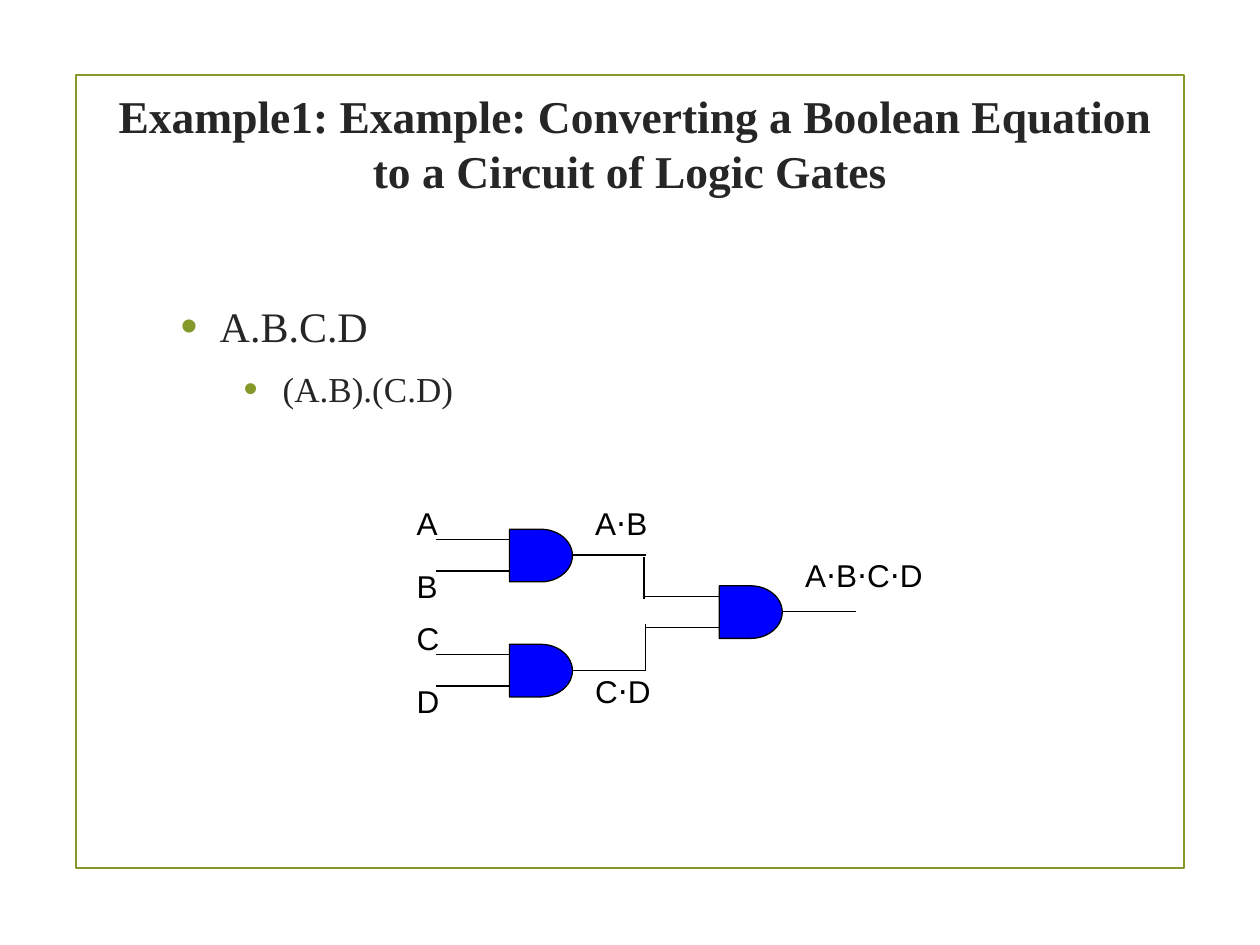
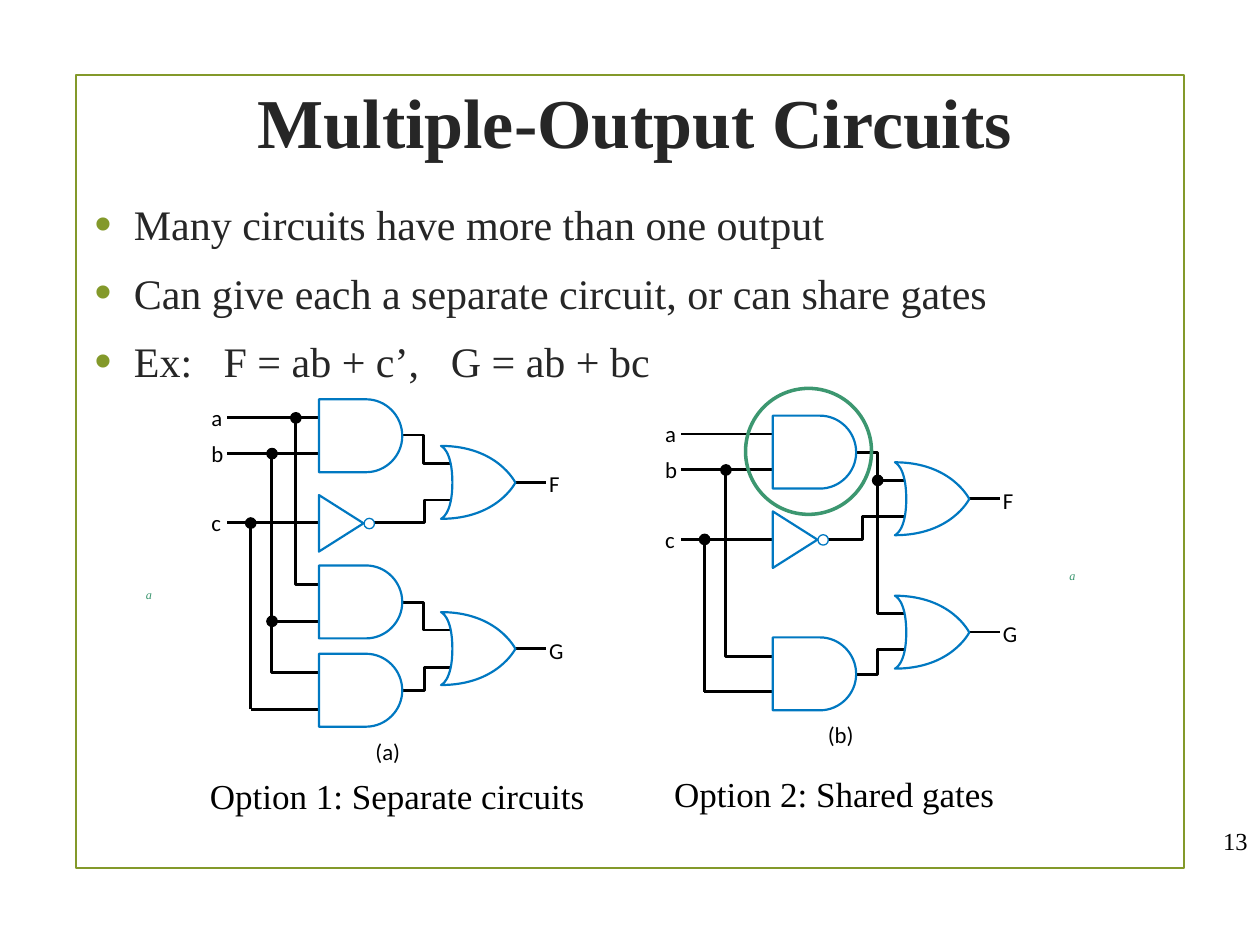
from dataclasses import dataclass
from typing import NamedTuple

from lxml import etree
from pptx import Presentation
from pptx import util as u
from pptx.dml.color import RGBColor
from pptx.enum import shapes, text
from pptx.oxml.ns import qn

OLIVE = RGBColor(0x83, 0x99, 0x2A)
INK = RGBColor(0x26, 0x26, 0x26)
BLACK = RGBColor(0, 0, 0)
WHITE = RGBColor(255, 255, 255)
BLUE = RGBColor(0, 0, 255)
GATE_BLUE = RGBColor(0, 0x78, 0xC1)
GREEN = RGBColor(0x3C, 0x97, 0x70)
SERIF = "Times New Roman"

OR_LEFT = 2.46
INPUT_ROWS = {"a": 0.37, "b": 1.09, "c": 2.49}
NOT_OUT = (0.97, 2.49)
WIRE = 1.63


class Point(NamedTuple):
    x: float
    y: float


class Bullet(NamedTuple):
    words: str
    level: int = 0
    tabs: tuple = ()


class Outline(NamedTuple):
    points: tuple
    curves: int = 0


@dataclass(frozen=True)
class DelayGate:
    corner: Point
    inputs: tuple
    output: str
    output_dy: float
    output_width: float


@dataclass(frozen=True)
class Circuit:
    name: str
    origin: Point
    name_at: Point
    and_tops: tuple
    or_tops: dict
    wires: tuple
    joints: tuple


AND_GATE = Outline((
    (0.95, 1.47), (1.35, 1.47), (1.68, 1.14), (1.68, 0.74),
    (1.68, 0.33), (1.35, 0), (0.95, 0), (0, 0), (0, 1.47)), 2)
OR_GATE = Outline((
    (1.5, 0.74), (1.5, 0.74), (1.14, 1.47), (0, 1.47),
    (0, 1.47), (0.23, 1.39), (0.23, 0.74),
    (0.23, 0.08), (0, 0), (0, 0),
    (1.14, 0), (1.5, 0.74), (1.5, 0.74)), 4)
NOT_GATE = Outline(((0, 1.14), (0.9, 0.57), (0, 0)))

DELAY_GATES = (
    DelayGate(Point(10.27, 10.67), ("A", "B"), "A⋅B", -0.64, 1.7),
    DelayGate(Point(10.27, 12.99), ("C", "D"), "C⋅D", 0.43, 1.7),
    DelayGate(Point(14.5, 11.81), (), "A⋅B⋅C⋅D", -0.73, 3.18),
)


def elbow(start: tuple, middle: float, end: tuple) -> tuple:
    return start, (middle, start[1]), (middle, end[1]), end


CIRCUITS = (
    Circuit(
        "(a)", Point(6.43, 8.05), Point(1.14, 6.82), (0, 3.35, 5.13),
        {"F": 0.94, "G": 4.29},
        (
            ((0, 3.73), (-0.47, 3.73), (-0.47, 0.37)),
            ((-0.95, 4.47), (0, 4.47)),
            ((-0.95, 1.09), (-0.95, 5.51), (0, 5.51)),
            ((-1.38, 6.25), (0, 6.25)),
            ((-1.38, 6.25), (-1.38, 2.49)),
            elbow((1.68, 0.72), 2.11, (2.67, 1.3)),
            elbow(NOT_OUT, 2.13, (2.67, 2.03)),
            elbow((1.68, 4.09), 2.11, (2.67, 4.65)),
            elbow((1.68, 5.87), 2.13, (2.67, 5.41)),
        ),
        ((-0.47, 0.37), (-0.95, 1.09), (-1.38, 2.49), (-0.95, 4.47)),
    ),
    Circuit(
        "(b)", Point(15.58, 8.38), Point(1.11, 6.15), (0, 4.47),
        {"F": 0.94, "G": 3.63},
        (
            ((-0.95, 1.09), (-0.95, 4.85), (0, 4.85)),
            ((-1.38, 5.56), (0, 5.56)),
            ((-1.38, 5.56), (-1.38, 2.49)),
            ((2.11, 1.3), (2.64, 1.3)),
            elbow((1.68, 0.74), 2.11, (2.64, 3.99)),
            elbow(NOT_OUT, 1.8, (2.64, 2.03)),
            elbow((1.68, 5.21), 2.11, (2.64, 4.72)),
        ),
        ((-0.95, 1.09), (-1.38, 2.49), (2.11, 1.3)),
    ),
)


def style(shape, fill: RGBColor | None, line: RGBColor, width: float) -> None:
    shape.shadow.inherit = False
    if fill is None:
        shape.fill.background()
    else:
        shape.fill.solid()
        shape.fill.fore_color.rgb = fill
    shape.line.color.rgb = line
    shape.line.width = u.Pt(width)


def add_preset(slide, kind, left: float, top: float, width: float, height: float,
               fill: RGBColor | None, line: RGBColor, weight: float = 0.75) -> None:
    shape = slide.shapes.add_shape(kind, u.Cm(left), u.Cm(top), u.Cm(width), u.Cm(height))
    style(shape, fill, line, weight)


def add_line(slide, start: tuple, end: tuple, weight: float) -> None:
    line = slide.shapes.add_connector(
        shapes.MSO_CONNECTOR.STRAIGHT, *(u.Cm(v) for v in (*start, *end)))
    line.line.color.rgb = BLACK
    line.line.width = u.Pt(weight)
    etree.SubElement(line._element.spPr, qn("a:effectLst"))


def add_outline(slide, points: list, fill: RGBColor | None, line: RGBColor,
                weight: float, close: bool = False, curves: int = 0) -> None:
    first, *rest = [(u.Cm(x), u.Cm(y)) for x, y in points]
    builder = slide.shapes.build_freeform(*first)
    builder.add_line_segments(rest, close=close)
    shape = builder.convert_to_shape()
    style(shape, fill, line, weight)
    segments = list(shape._element.iter(qn("a:lnTo")))
    for start in range(0, 3 * curves, 3):
        trio = segments[start:start + 3]
        curve = etree.Element(qn("a:cubicBezTo"))
        trio[0].addprevious(curve)
        for segment in trio:
            curve.append(segment[0])
            segment.getparent().remove(segment)


def set_font(font, size: float, name: str, color: RGBColor,
             bold: bool = False, italic: bool = False) -> None:
    font.size, font.name, font.bold, font.italic = u.Pt(size), name, bold, italic
    font.color.rgb = color


def add_words(slide, words: str, left: float, top: float, width: float, height: float, *,
              size: float, font: str = SERIF, color: RGBColor = BLACK, bold: bool = False,
              italic: bool = False, align=text.PP_ALIGN.LEFT,
              anchor=text.MSO_ANCHOR.TOP, wrap: bool = False, inset: bool = True) -> None:
    frame = slide.shapes.add_textbox(
        u.Cm(left), u.Cm(top), u.Cm(width), u.Cm(height)).text_frame
    frame.word_wrap = wrap
    frame.vertical_anchor = anchor
    if not inset:
        frame.margin_left = frame.margin_right = frame.margin_top = frame.margin_bottom = 0
    paragraph = frame.paragraphs[0]
    paragraph.alignment = align
    run = paragraph.add_run()
    run.text = words
    set_font(run.font, size, font, color, bold, italic)


def add_bullets(slide, bullets: tuple, left: float, top: float,
                width: float, height: float) -> None:
    frame = slide.shapes.add_textbox(
        u.Cm(left), u.Cm(top), u.Cm(width), u.Cm(height)).text_frame
    frame.word_wrap = True
    for index, bullet in enumerate(bullets):
        size = 24 - 4 * bullet.level
        paragraph = frame.paragraphs[0] if index == 0 else frame.add_paragraph()
        paragraph.level = bullet.level
        props = paragraph._p.get_or_add_pPr()
        props.set("marL", str(u.Cm(0.79 + 1.27 * bullet.level)))
        props.set("indent", str(-u.Cm(0.79)))
        color = etree.SubElement(props, qn("a:buClr"))
        etree.SubElement(color, qn("a:srgbClr"), val=str(OLIVE))
        etree.SubElement(props, qn("a:buSzPct"), val="115000")
        etree.SubElement(props, qn("a:buFont"), typeface="Arial")
        etree.SubElement(props, qn("a:buChar"), char="•")
        if bullet.tabs:
            stops = etree.SubElement(props, qn("a:tabLst"))
            for stop in bullet.tabs:
                etree.SubElement(stops, qn("a:tab"), pos=str(u.Cm(stop)), algn="l")
        if index:
            paragraph.space_before = u.Pt(0.19 * size)
        paragraph.space_after = u.Pt(6)
        run = paragraph.add_run()
        run.text = bullet.words
        set_font(run.font, size, SERIF, INK)


def start_slide(deck, title: str, size: float, left: float, top: float, width: float):
    slide = deck.slides.add_slide(deck.slide_layouts[6])
    add_preset(slide, shapes.MSO_SHAPE.RECTANGLE, 1.54, 1.51, 22.33, 15.99, None, OLIVE, 1.25)
    add_words(slide, title, left, top, width, 3.63, size=size, color=INK, bold=True,
              align=text.PP_ALIGN.CENTER, anchor=text.MSO_ANCHOR.MIDDLE, wrap=True)
    return slide


def draw_delay_gate(slide, gate: DelayGate) -> None:
    x, y = gate.corner
    add_preset(slide, shapes.MSO_SHAPE.FLOWCHART_DELAY, x, y, 1.27, 1.06, BLUE, BLACK)
    for dy in (0.21, 0.84):
        add_line(slide, (x - 1.49, y + dy), (x, y + dy), 0.75)
    add_line(slide, (x + 1.27, y + 0.52), (x + 2.75, y + 0.52), 0.75)
    for name, dy in zip(gate.inputs, (-0.64, 0.63)):
        add_words(slide, name, x - 2.12, y + dy, 0.85, 1.02, size=18, font="Arial")
    add_words(slide, gate.output, x + 1.48, y + gate.output_dy,
              gate.output_width, 1.02, size=18, font="Arial")


def draw_circuit(slide, circuit: Circuit) -> None:
    def place(points, dx: float = 0, dy: float = 0) -> list:
        return [(circuit.origin.x + x + dx, circuit.origin.y + y + dy) for x, y in points]

    def label(words: str, x: float, y: float, width: float = 0.3) -> None:
        (left, top), = place([(x, y)])
        add_words(slide, words, left, top, width, 0.56, size=13, font="Calibri", inset=False)

    def gate(outline: Outline, dx: float, dy: float) -> None:
        add_outline(slide, place(outline.points, dx, dy), WHITE, GATE_BLUE, 1.25,
                    close=True, curves=outline.curves)

    def dot(center: tuple, fill: RGBColor, line: RGBColor) -> None:
        (x, y), = place([center])
        add_preset(slide, shapes.MSO_SHAPE.OVAL, x - 0.1, y - 0.1, 0.21, 0.21, fill, line)

    straight = [((-1.85, y), (0, y)) for y in INPUT_ROWS.values()]
    straight += [((3.96, top + 0.73), (4.57, top + 0.73)) for top in circuit.or_tops.values()]
    for wire in (*straight, *circuit.wires):
        points = place(wire)
        if len(points) == 2:
            add_line(slide, *points, WIRE)
        else:
            add_outline(slide, points, None, BLACK, WIRE)
    for joint in circuit.joints:
        dot(joint, BLACK, BLACK)

    for top in circuit.and_tops:
        gate(AND_GATE, 0, top)
    for name, top in circuit.or_tops.items():
        gate(OR_GATE, OR_LEFT, top)
        label(name, 4.64, top + 0.49, 0.36)
    gate(NOT_GATE, 0, 1.93)
    dot((1.01, 2.5), WHITE, GATE_BLUE)

    for name, row in INPUT_ROWS.items():
        label(name, -2.17, row - 0.28)
    label(circuit.name, *circuit.name_at, 0.56)


def build_equation_slide(deck) -> None:
    slide = start_slide(
        deck, "Example1: Example: Converting a Boolean Equation to a Circuit of Logic Gates ",
        26, 1.7, 1.06, 22.23)
    add_bullets(slide, (Bullet("A.B.C.D"), Bullet("(A.B).(C.D)", 1)), 3.39, 5.93, 23.29, 4.78)
    for gate in DELAY_GATES:
        draw_delay_gate(slide, gate)
    add_line(slide, (12.98, 11.23), (12.98, 12.07), 0.75)
    add_line(slide, (13.01, 12.57), (13.01, 13.51), 0.75)


def build_outputs_slide(deck) -> None:
    slide = start_slide(deck, "Multiple-Output Circuits", 40, 1.6, 0.61, 22.4)
    add_words(slide, "13", 22.2, 16.56, 3.2, 0.79, size=14, align=text.PP_ALIGN.RIGHT,
              anchor=text.MSO_ANCHOR.MIDDLE, wrap=True)
    add_bullets(slide, (
        Bullet("Many circuits have more than one output"),
        Bullet("Can give each a separate circuit, or can share gates"),
        Bullet("Ex:\tF = ab + c’,\tG = ab + bc", tabs=(2.6, 7.18)),
    ), 1.66, 3.87, 18.9, 9.58)
    for circuit in CIRCUITS:
        draw_circuit(slide, circuit)
    add_words(slide, "Option 1: Separate circuits", 3.98, 15.49, 8.1, 1.12, size=20)
    add_words(slide, "Option 2: Shared gates", 13.34, 15.44, 7.01, 1.12, size=20)
    add_preset(slide, shapes.MSO_SHAPE.OVAL, 15.03, 7.83, 2.54, 2.54, None, GREEN, 2)
    for left, top in ((21.31, 11.33), (2.69, 11.71)):
        add_words(slide, "a", left, top, 0.64, 0.56, size=7, color=GREEN, italic=True)


def main() -> None:
    deck = Presentation()
    deck.slide_width, deck.slide_height = u.Cm(25.4), u.Cm(19.05)
    build_equation_slide(deck)
    build_outputs_slide(deck)
    deck.save("out.pptx")


if __name__ == "__main__":
    main()
